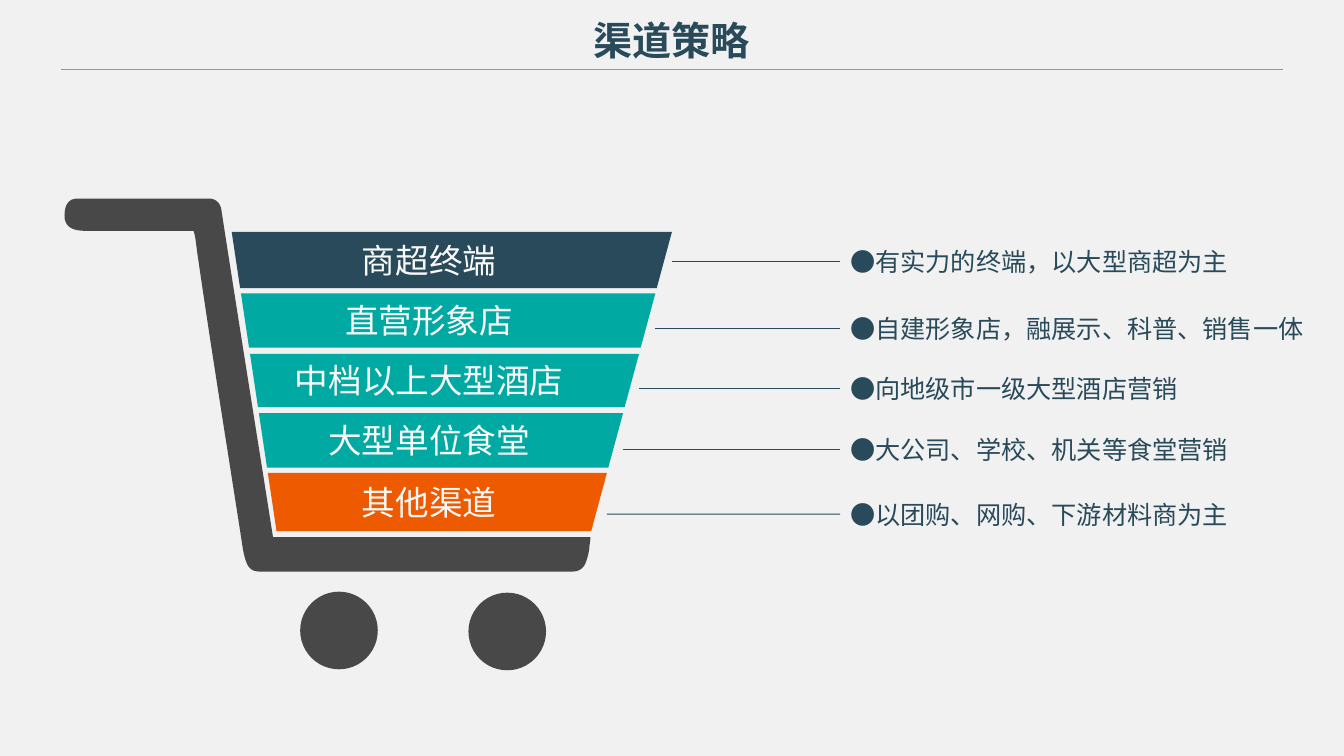
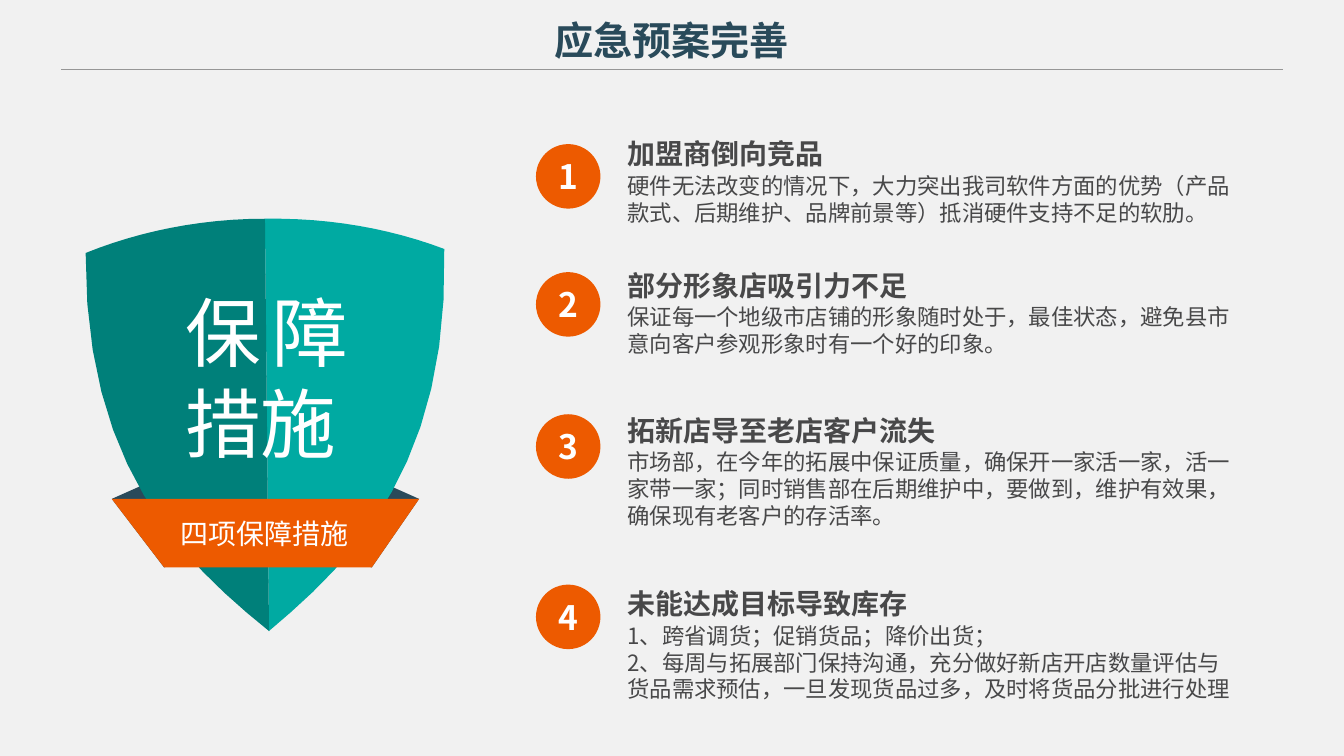
from lxml.etree import SubElement
from pptx import Presentation
from pptx.dml.color import RGBColor
from pptx.enum.shapes import MSO_CONNECTOR, MSO_SHAPE
from pptx.enum.text import MSO_ANCHOR, PP_ALIGN
from pptx.oxml.ns import qn
from pptx.util import Inches, Pt

FONT = "Noto Sans CJK SC"
PAPER = RGBColor(0xF1, 0xF1, 0xF1)
NAVY = RGBColor(0x29, 0x4A, 0x5A)
TEAL = RGBColor(0x00, 0xAA, 0xA2)
DARK_TEAL = RGBColor(0x00, 0x80, 0x7A)
ORANGE = RGBColor(0xED, 0x5A, 0x00)
CHARCOAL = RGBColor(0x48, 0x48, 0x49)
GREY = RGBColor(0x96, 0x96, 0x96)
OFF_WHITE = RGBColor(0xF8, 0xF8, 0xF8)
WHITE = RGBColor(0xFF, 0xFF, 0xFF)

TITLE = {"size": Pt(28), "bold": True}
BAND = {"size": Pt(24), "bold": False}
NOTE = {"size": Pt(18), "bold": False}
HEADING = {"size": Pt(20), "bold": True}
BODY = {"size": Pt(16), "bold": False}
NUMBER = {"size": Pt(24), "bold": True}
SHIELD = {"size": Pt(54), "bold": False}
RIBBON = {"size": Pt(20), "bold": False}


def write(box, text, style, color, align=PP_ALIGN.LEFT, anchor=MSO_ANCHOR.TOP):
    """Fill a shape with text, one paragraph a line, in Latin and East Asian font."""
    frame = box.text_frame
    frame.word_wrap = True
    frame.vertical_anchor = anchor
    for index, line in enumerate(text.split("\n")):
        para = frame.add_paragraph() if index else frame.paragraphs[0]
        para.alignment = align
        span = para.add_run()
        span.text = line
        for name, value in style.items():
            setattr(span.font, name, value)
        span.font.name = FONT
        span.font.color.rgb = color
        SubElement(span.font._element, qn("a:ea"), typeface=FONT)


def draw_outline(page, color, start, *segments):
    """Draw a filled outline; two numbers make a line, six a Bezier curve."""
    steps = 12
    points = [start]
    for segment in segments:
        if len(segment) == 2:
            points.append(segment)
            continue
        corners = [points[-1], segment[:2], segment[2:4], segment[4:]]
        for step in range(1, steps + 1):
            t = step / steps
            weights = ((1 - t) ** 3, 3 * t * (1 - t) ** 2, 3 * t ** 2 * (1 - t), t ** 3)
            points.append(tuple(sum(weight * corner[axis] for weight, corner in zip(weights, corners))
                                for axis in (0, 1)))
    points = [(Inches(x), Inches(y)) for x, y in points]
    builder = page.shapes.build_freeform(*points[0])
    builder.add_line_segments(points[1:], close=True)
    outline = builder.convert_to_shape()
    outline.shadow.inherit = False
    outline.fill.solid()
    outline.fill.fore_color.rgb = color
    outline.line.fill.background()
    return outline


deck = Presentation()
deck.slide_width, deck.slide_height = Inches(13.34), Inches(7.5)
background = deck.slide_master.background.fill
background.solid()
background.fore_color.rgb = PAPER
title_only = deck.slide_layouts[5]
title_frame = title_only.placeholders[0]
title_frame.left, title_frame.top = Inches(3.87), Inches(0.11)
title_frame.width, title_frame.height = Inches(5.59), Inches(0.57)

pages, lines, disks = [], [], []
for title in ("渠道策略", "应急预案完善"):
    page = deck.slides.add_slide(title_only)
    write(page.shapes.title, title, TITLE, NAVY, PP_ALIGN.CENTER)
    rule = page.shapes.add_connector(MSO_CONNECTOR.STRAIGHT, Inches(0.61), Inches(0.69),
                                     Inches(12.73), Inches(0.69))
    lines.append((rule, GREY))
    pages.append(page)
channel_page, plan_page = pages

# Channel strategy: cart
draw_outline(
    channel_page, CHARCOAL, (2.2, 2.1),
    (2.19, 2, 2.13, 1.97, 2.07, 1.97), (0.77, 1.97),
    (0.7, 1.97, 0.64, 2.01, 0.64, 2.14), (0.64, 2.28, 0.77, 2.29, 0.85, 2.29), (1.92, 2.29),
    (1.94, 2.33, 1.95, 2.46, 1.96, 2.52), (2.1, 3.49, 2.26, 4.47, 2.41, 5.44),
    (2.42, 5.5, 2.43, 5.54, 2.45, 5.59), (2.47, 5.64, 2.51, 5.67, 2.57, 5.67), (5.69, 5.67),
    (5.74, 5.67, 5.79, 5.64, 5.81, 5.59), (5.83, 5.54, 5.84, 5.5, 5.85, 5.44),
    (5.85, 5.4, 5.86, 5.37, 5.86, 5.33), (2.71, 5.33), (2.53, 4.19, 2.37, 3.2, 2.2, 2.1))
for left, top in ((2.98, 5.87), (4.65, 5.88)):
    wheel = channel_page.shapes.add_shape(MSO_SHAPE.OVAL, Inches(left), Inches(top),
                                          Inches(0.77), Inches(0.77))
    disks.append((wheel, CHARCOAL))

# Channel strategy: bands with their leaders and notes
basket_left, basket_right, basket_top = 2.3, 6.67, 2.3
left_slope, right_slope = 0.15, 0.27
label_center = 4.26
channels = (
    ("商超终端", 2.3, 2.86, NAVY, 2.59, "●有实力的终端，以大型商超为主"),
    ("直营形象店", 2.91, 3.45, TEAL, 3.26, "●自建形象店，融展示、科普、销售一体"),
    ("中档以上大型酒店", 3.51, 4.04, TEAL, 3.85, "●向地级市一级大型酒店营销"),
    ("大型单位食堂", 4.1, 4.64, TEAL, 4.46, "●大公司、学校、机关等食堂营销"),
    ("其他渠道", 4.69, 5.27, ORANGE, 5.1, "●以团购、网购、下游材料商为主"),
)
for label, top, bottom, color, leader_y, note in channels:
    (left, right), (low_left, low_right) = [
        (basket_left + left_slope * (y - basket_top), basket_right - right_slope * (y - basket_top))
        for y in (top, bottom)]
    band = draw_outline(channel_page, color, (left, top), (right, top),
                        (low_right, bottom), (low_left, bottom))
    write(band, label, BAND, OFF_WHITE, PP_ALIGN.CENTER, MSO_ANCHOR.MIDDLE)
    frame = band.text_frame
    frame.margin_left = frame.margin_top = frame.margin_bottom = 0
    frame.margin_right = Inches(left + right - 2 * label_center)
    note_box = channel_page.shapes.add_textbox(Inches(8.34), Inches(leader_y - 0.2),
                                               Inches(5), Inches(0.4))
    write(note_box, note, NOTE, NAVY)
    leader = channel_page.shapes.add_connector(MSO_CONNECTOR.STRAIGHT, Inches(right), Inches(leader_y),
                                               Inches(8.34), Inches(leader_y))
    leader.end_connect(note_box, 1)
    lines.append((leader, NAVY))

# Contingency plan: numbered measures
measures = (
    (1.43, 1.31, 0.64, "加盟商倒向竞品",
     "硬件无法改变的情况下，大力突出我司软件方面的优势（产品款式、后期维护、品牌前景等）抵消硬件支持不足的软肋。"),
    (2.7, 2.61, 0.64, "部分形象店吸引力不足",
     "保证每一个地级市店铺的形象随时处于，最佳状态，避免县市意向客户参观形象时有一个好的印象。"),
    (4.11, 4.05, 0.91, "拓新店导至老店客户流失",
     "市场部，在今年的拓展中保证质量，确保开一家活一家，活一家带一家；同时销售部在后期维护中，"
     "要做到，维护有效果，确保现有老客户的存活率。"),
    (5.8, 5.77, 0.91, "未能达成目标导致库存",
     "1、跨省调货；促销货品；降价出货；\n"
     "2、每周与拓展部门保持沟通，充分做好新店开店数量评估与货品需求预估，一旦发现货品过多，及时将货品分批进行处理"),
)
for number, (badge_top, top, body_height, heading, body) in enumerate(measures, 1):
    heading_box = plan_page.shapes.add_textbox(Inches(6.13), Inches(top), Inches(4.15), Inches(0.44))
    write(heading_box, heading, HEADING, CHARCOAL)
    body_box = plan_page.shapes.add_textbox(Inches(6.13), Inches(top + 0.35),
                                            Inches(6.24), Inches(body_height))
    write(body_box, body, BODY, CHARCOAL)
    badge = plan_page.shapes.add_shape(MSO_SHAPE.OVAL, Inches(5.32), Inches(badge_top),
                                       Inches(0.64), Inches(0.64))
    write(badge, str(number), NUMBER, WHITE, PP_ALIGN.CENTER, MSO_ANCHOR.MIDDLE)
    for side in ("left", "top", "right", "bottom"):
        setattr(badge.text_frame, f"margin_{side}", 0)
    disks.append((badge, ORANGE))

# Contingency plan: shield and ribbon
draw_outline(plan_page, NAVY, (1.11, 4.95), (2.12, 4.5), (2.38, 5.36), (1.63, 5.63))
draw_outline(plan_page, NAVY, (4.16, 4.95), (3.15, 4.5), (2.89, 5.36), (3.69, 5.63))
draw_outline(plan_page, TEAL, (2.67, 6.26), (3.54, 5.53, 4.46, 4.59, 4.41, 2.47),
             (3.88, 2.27, 3.28, 2.16, 2.63, 2.17))
draw_outline(plan_page, DARK_TEAL, (2.67, 6.26), (1.79, 5.55, 0.84, 4.62, 0.85, 2.51),
             (1.37, 2.3, 1.98, 2.17, 2.63, 2.17))
draw_outline(plan_page, ORANGE, (1.11, 4.95), (4.16, 4.95), (3.69, 5.63), (1.63, 5.63))
shield_box = plan_page.shapes.add_textbox(Inches(1.74), Inches(2.79), Inches(1.81), Inches(1.92))
write(shield_box, "保障措施", SHIELD, WHITE, PP_ALIGN.JUSTIFY)
ribbon_box = plan_page.shapes.add_textbox(Inches(1.58), Inches(5.07), Inches(2.09), Inches(0.44))
write(ribbon_box, "四项保障措施", RIBBON, WHITE, PP_ALIGN.CENTER)

for line, color in lines:
    line.line.color.rgb = color
    line.line.width = Pt(0.75)
    SubElement(line._element.spPr, qn("a:effectLst"))
for disk, color in disks:
    disk.shadow.inherit = False
    disk.fill.solid()
    disk.fill.fore_color.rgb = color
    disk.line.fill.background()

deck.save("out.pptx")
